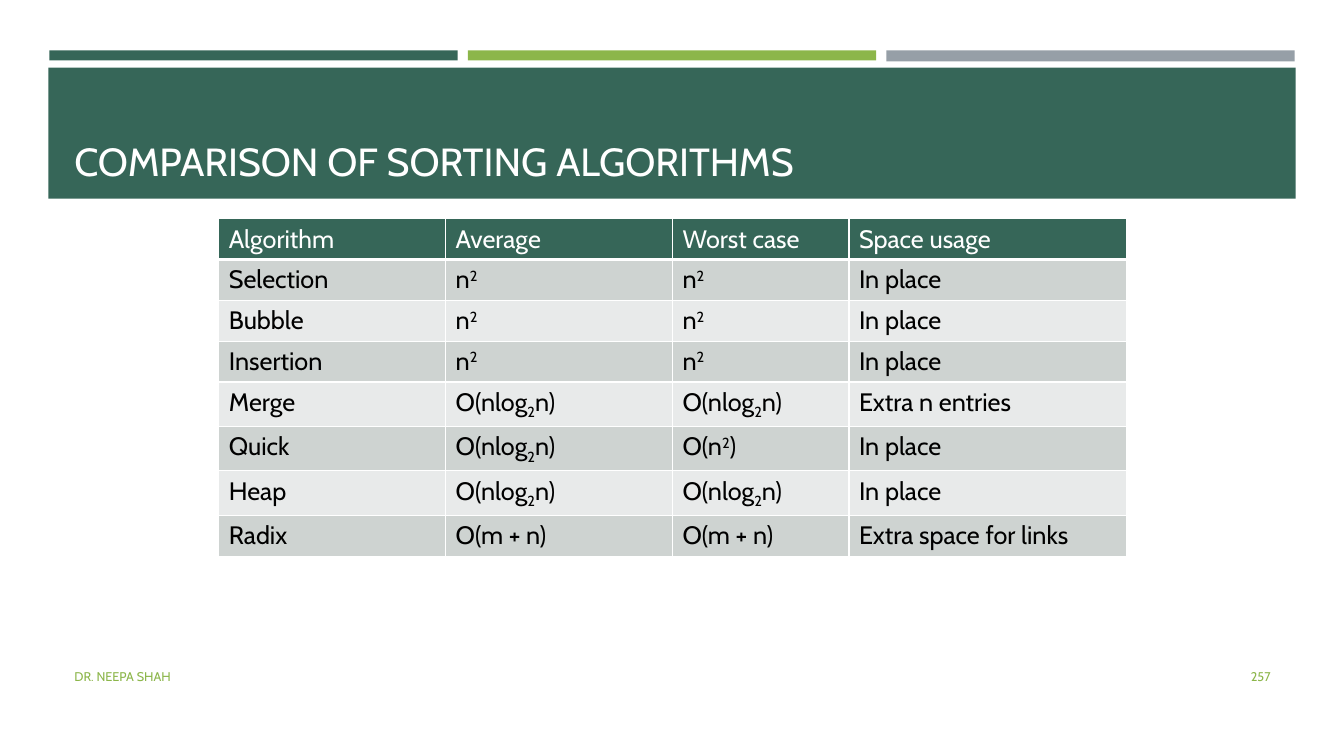
from lxml import etree
from pptx import Presentation
from pptx.dml.color import RGBColor
from pptx.enum import shapes, text
from pptx.oxml.ns import qn
from pptx.util import Inches, Pt

GREEN = RGBColor(0x36, 0x66, 0x58)
LIME = RGBColor(0x8C, 0xB6, 0x4A)
GREY = RGBColor(0x96, 0x9F, 0xA7)
WHITE = RGBColor(0xFF, 0xFF, 0xFF)
BLACK = RGBColor(0, 0, 0)
BANDS = [RGBColor(0xE8, 0xEA, 0xEA), RGBColor(0xCE, 0xD3, 0xD1)]
BASELINES = {"²": ("2", "30000"), "₂": ("2", "-25000")}


def add_runs(p, content, size, color):
    """Add runs, setting ² and ₂ as a raised or lowered 2."""
    for mark in BASELINES:
        content = content.replace(mark, f"|{mark}|")
    for part in filter(None, content.split("|")):
        label, baseline = BASELINES.get(part, (part, None))
        r = p.add_run()
        r.text = label
        r.font.name = "Cabin"
        r.font.size = Pt(size)
        r.font.color.rgb = color
        if baseline:
            r._r.get_or_add_rPr().set("baseline", baseline)


def set_borders(cell, row):
    """Draw white cell borders, thicker under the header row."""
    tcPr = cell._tc.get_or_add_tcPr()
    for side in ("lnL", "lnR", "lnT", "lnB"):
        width = Pt(3) if row == 0 and side == "lnB" else Pt(1)
        ln = etree.SubElement(tcPr, qn(f"a:{side}"), w=str(width))
        fill = etree.SubElement(ln, qn("a:solidFill"))
        etree.SubElement(fill, qn("a:srgbClr"), val=str(WHITE))


prs = Presentation()
prs.slide_width = Inches(13.33)
prs.slide_height = Inches(7.5)
s = prs.slides.add_slide(prs.slide_layouts[6])

# Top strips and title band
bars = [
    (0.49, 0.5, 4.05, 0.1, GREEN),
    (4.64, 0.5, 4.05, 0.1, LIME),
    (8.79, 0.5, 4.05, 0.11, GREY),
    (0.48, 0.67, 12.37, 1.3, GREEN),
]
for left, top, width, height, color in bars:
    sp = s.shapes.add_shape(shapes.MSO_SHAPE.RECTANGLE, Inches(left), Inches(top),
                            Inches(width), Inches(height))
    sp.shadow.inherit = False
    sp.fill.solid()
    sp.fill.fore_color.rgb = color
    sp.line.fill.background()

# Title, footer and slide number
LEFT, RIGHT = text.PP_ALIGN.LEFT, text.PP_ALIGN.RIGHT
BOTTOM, MIDDLE = text.MSO_ANCHOR.BOTTOM, text.MSO_ANCHOR.MIDDLE
labels = [
    ("COMPARISON OF SORTING ALGORITHMS", 0.64, 0.77, 12.06, 1.11, BOTTOM, LEFT, 28, WHITE),
    ("DR. NEEPA SHAH", 0.64, 6.51, 7.56, 0.4, MIDDLE, LEFT, 9, LIME),
    ("257", 11.55, 6.51, 1.15, 0.4, MIDDLE, RIGHT, 9, LIME),
]
for label, left, top, width, height, anchor, align, size, color in labels:
    tf = s.shapes.add_textbox(Inches(left), Inches(top), Inches(width), Inches(height)).text_frame
    tf.word_wrap = True
    tf.vertical_anchor = anchor
    p = tf.paragraphs[0]
    p.alignment = align
    add_runs(p, label, size, color)

# Comparison table
rows = [
    ("Algorithm", "Average", "Worst case", "Space usage"),
    ("Selection", "n²", "n²", "In place"),
    ("Bubble", "n²", "n²", "In place"),
    ("Insertion", "n²", "n²", "In place"),
    ("Merge", "O(nlog₂n)", "O(nlog₂n)", "Extra n entries"),
    ("Quick", "O(nlog₂n)", "O(n²)", "In place"),
    ("Heap", "O(nlog₂n)", "O(nlog₂n)", "In place"),
    ("Radix", "O(m + n)", "O(m + n)", "Extra space for links"),
]
widths = [2.25, 2.25, 1.75, 2.75]
table = s.shapes.add_table(len(rows), len(widths), Inches(2.17), Inches(2.17),
                           Inches(sum(widths)), Inches(3.24)).table
for column, width in zip(table.columns, widths):
    column.width = Inches(width)
for i, row in enumerate(rows):
    for j, content in enumerate(row):
        cell = table.cell(i, j)
        set_borders(cell, i)
        cell.fill.solid()
        cell.fill.fore_color.rgb = BANDS[i % 2] if i else GREEN
        add_runs(cell.text_frame.paragraphs[0], content, 18, BLACK if i else WHITE)

prs.save("out.pptx")
